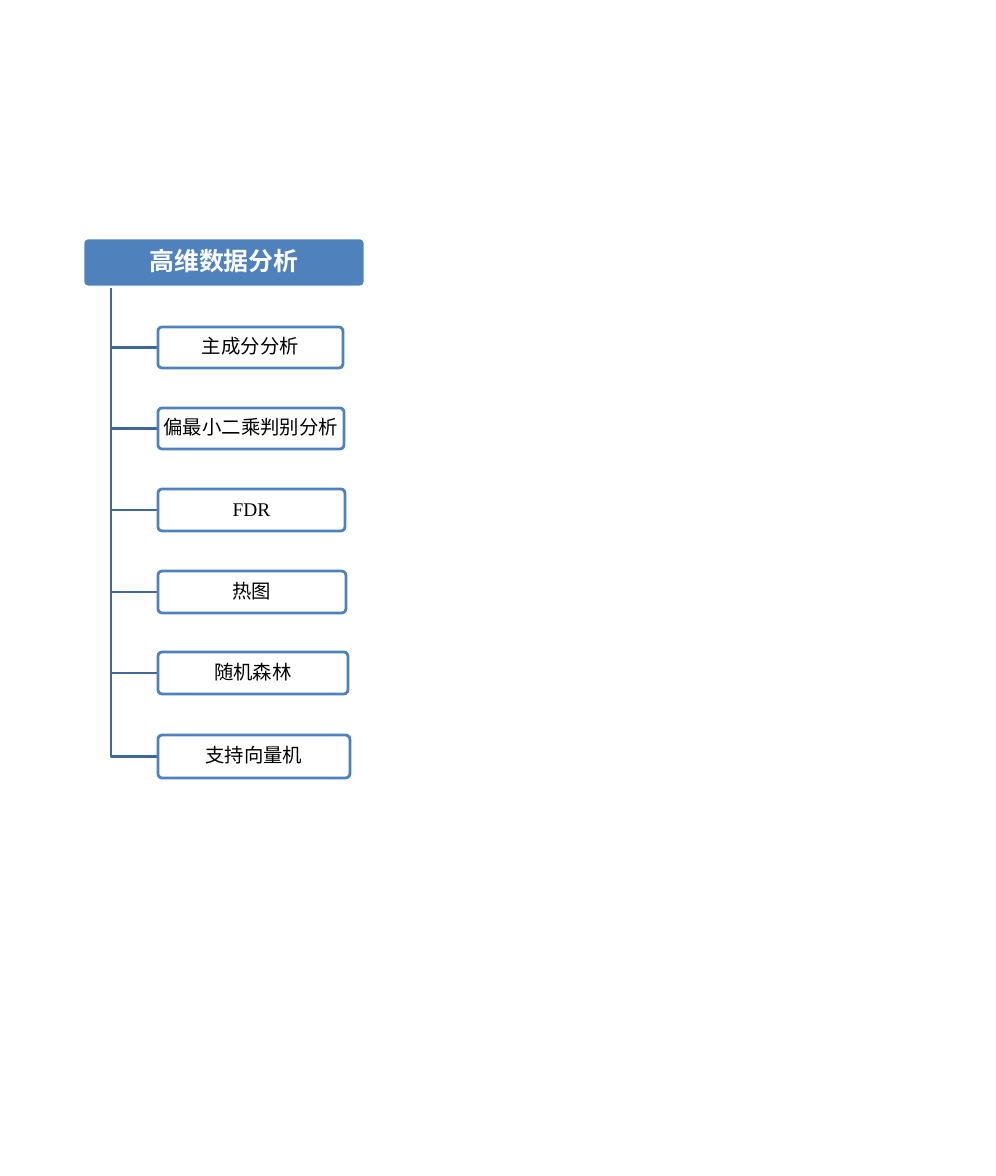
import pptx
import pptx.dml.color
import pptx.enum.shapes
import pptx.enum.text
import pptx.oxml.ns
import pptx.util
from lxml import etree

RGBColor = pptx.dml.color.RGBColor
BLUE = RGBColor(0x4F, 0x81, 0xBD)
DARK_BLUE = RGBColor(0x3F, 0x67, 0x97)
WHITE = RGBColor(0xFF, 0xFF, 0xFF)
BLACK = RGBColor(0, 0, 0)

EMU_PER_PIXEL = 914400 / 99.6
BRANCH_LEFT = 75

# Label, font, top below the header's top, width, height
METHODS = [
    ("主成分分析", "Calibri", 89, 185, 41),
    ("偏最小二乘判别分析", "Calibri", 170, 186, 41),
    ("FDR", "Times New Roman", 251, 187, 42),
    ("热图", "Calibri", 333, 188, 42),
    ("随机森林", "Calibri", 414, 190, 42),
    ("支持向量机", "Calibri", 497, 192, 43),
]


def px(pixels):
    return pptx.util.Emu(round(pixels * EMU_PER_PIXEL))


def set_line(shape, color):
    shape.shadow.inherit = False
    shape.line.color.rgb = color
    shape.line.width = pptx.util.Pt(2)


def set_opacity(shape, percent):
    color = shape.fill._xPr.find(".//" + pptx.oxml.ns.qn("a:srgbClr"))
    alpha = etree.SubElement(color, pptx.oxml.ns.qn("a:alpha"))
    alpha.set("val", str(percent * 1000))


def add_box(slide, box, label, font_name, size, fill, line, text_color, bold=False):
    shape = slide.shapes.add_shape(
        pptx.enum.shapes.MSO_SHAPE.ROUNDED_RECTANGLE, *map(px, box))
    shape.adjustments[0] = 0.1
    shape.fill.solid()
    shape.fill.fore_color.rgb = fill
    set_line(shape, line)

    frame = shape.text_frame
    frame.word_wrap = True
    frame.vertical_anchor = pptx.enum.text.MSO_ANCHOR.MIDDLE
    frame.margin_left = frame.margin_right = px(3)
    frame.margin_top = frame.margin_bottom = px(2)
    paragraph = frame.paragraphs[0]
    paragraph.alignment = pptx.enum.text.PP_ALIGN.CENTER
    paragraph.line_spacing = 0.9
    run = paragraph.add_run()
    run.text = label
    run.font.name = font_name
    run.font.size = pptx.util.Pt(size)
    run.font.bold = bold
    run.font.color.rgb = text_color
    return shape


def add_elbow(slide, left, top, right, bottom):
    builder = slide.shapes.build_freeform(px(left), px(top))
    builder.add_line_segments(
        [(px(left), px(bottom)), (px(right), px(bottom))], close=False)
    elbow = builder.convert_to_shape()
    elbow.fill.background()
    set_line(elbow, DARK_BLUE)


def add_hierarchy(slide, left, top, width, height):
    # Header
    add_box(slide, (left, top, width, height), "高维数据分析", "Calibri", 18,
            BLUE, WHITE, WHITE, bold=True)
    # Branches, each with its elbow line
    branch_left = left + BRANCH_LEFT
    for label, font_name, offset, box_width, box_height in METHODS:
        box_top = top + offset
        add_elbow(slide, left + 28, top + height + 1,
                  branch_left, box_top + box_height / 2)
        branch = add_box(slide, (branch_left, box_top, box_width, box_height),
                         label, font_name, 14, WHITE, BLUE, BLACK)
        set_opacity(branch, 90)


presentation = pptx.Presentation()
presentation.slide_width = px(996)
presentation.slide_height = px(1176)
slide = presentation.slides.add_slide(presentation.slide_layouts[6])
add_hierarchy(slide, 83, 238, 282, 49)
presentation.save("out.pptx")
